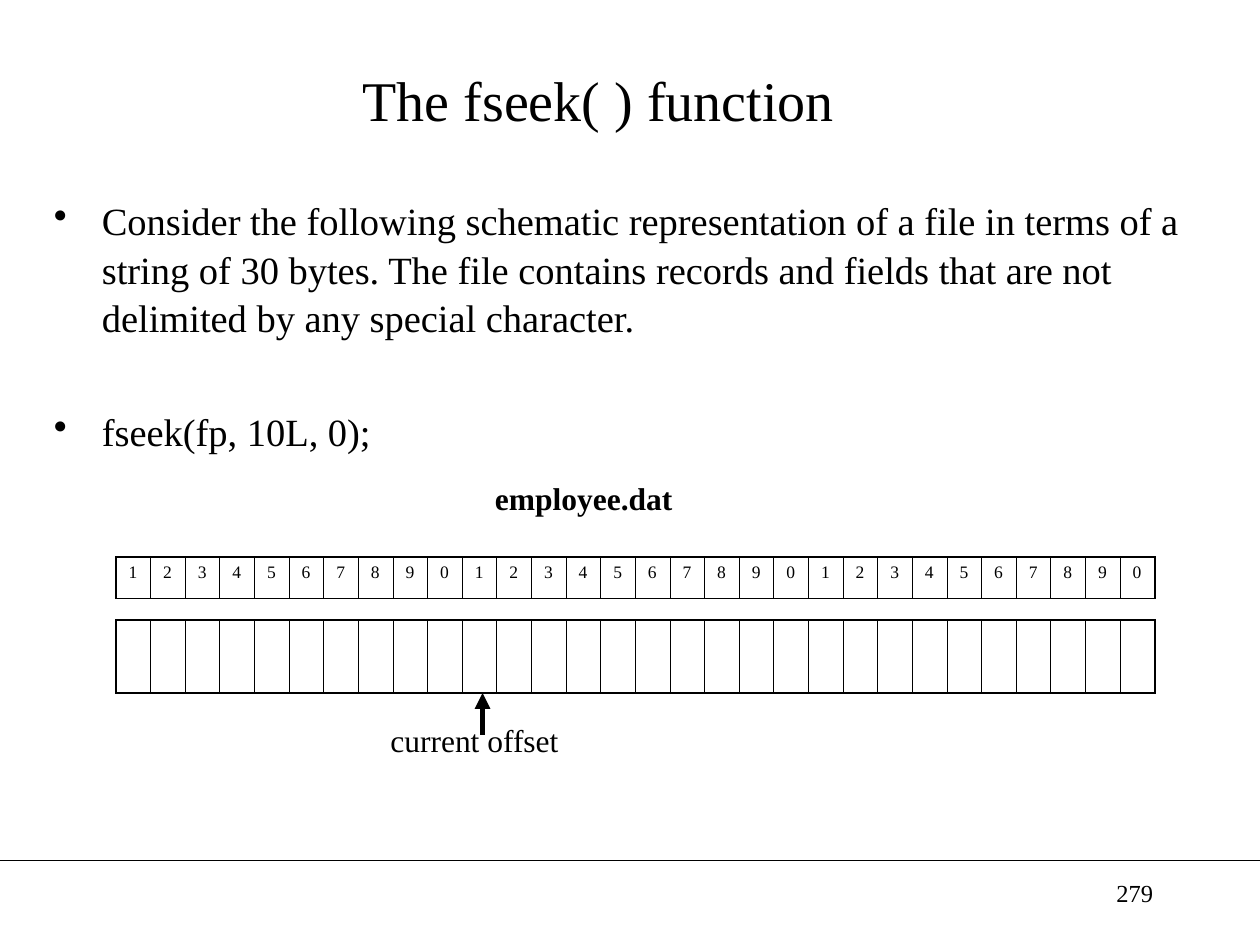
from dataclasses import dataclass

from lxml.etree import SubElement
from pptx import Presentation
from pptx.dml.color import RGBColor
from pptx.enum.shapes import MSO_CONNECTOR
from pptx.enum.text import MSO_ANCHOR, PP_ALIGN
from pptx.oxml.ns import qn
from pptx.util import Inches, Pt


@dataclass(frozen=True)
class Theme:
    font: str = "Times New Roman"
    ink: RGBColor = RGBColor(0, 0, 0)
    title: float = 32
    body: float = 22
    label: float = 18
    page_number: float = 14
    digit: float = 10
    rule: float = 0.75
    arrow: float = 3
    cell_inner: float = 0.45
    cell_outer: float = 1.08


THEME = Theme()
BYTE_COUNT = 30
BODY_POINTS = [
    "Consider the following schematic representation of a file in terms of a "
    "string of 30 bytes. The file contains records and fields that are not "
    "delimited by any special character.",
    "fseek(fp, 10L, 0);",
]


def format_paragraph(paragraph, size, bold=False, alignment=PP_ALIGN.LEFT):
    paragraph.alignment = alignment
    font = paragraph.font
    font.name, font.size, font.bold = THEME.font, Pt(size), bold
    font.color.rgb = THEME.ink


def add_bullet(paragraph, indent):
    properties = paragraph._p.get_or_add_pPr()
    properties.set("marL", str(indent))
    properties.set("indent", str(-indent))
    SubElement(properties, qn("a:buChar"), char="•")


def add_title(slide, box, text):
    title = slide.shapes.title
    title.left, title.top, title.width, title.height = map(Inches, box)
    title.text_frame.text = text
    title.text_frame.vertical_anchor = MSO_ANCHOR.MIDDLE
    format_paragraph(title.text_frame.paragraphs[0], THEME.title,
                     alignment=PP_ALIGN.CENTER)


def add_text(slide, box, text, size, **formatting):
    frame = slide.shapes.add_textbox(*map(Inches, box)).text_frame
    frame.word_wrap = True
    frame.text = text
    format_paragraph(frame.paragraphs[0], size, **formatting)


def add_body(slide, box, points):
    frame = slide.shapes.add_textbox(*map(Inches, box)).text_frame
    frame.word_wrap = True
    frame.text = "\n".join(points)
    for index, paragraph in enumerate(frame.paragraphs):
        paragraph.line_spacing = 1.05
        if index:
            paragraph.space_before = Pt(37.5)
        add_bullet(paragraph, Inches(0.38))
        format_paragraph(paragraph, THEME.body)


def add_line(slide, start, end, width, arrowhead=False):
    line = slide.shapes.add_connector(
        MSO_CONNECTOR.STRAIGHT, *map(Inches, start + end))
    line.line.color.rgb = THEME.ink
    line.line.width = Pt(width)
    if arrowhead:
        SubElement(line.line._get_or_add_ln(), qn("a:tailEnd"), type="triangle")
    SubElement(line._element.spPr, qn("a:effectLst"))


def set_borders(cell, left, right):
    """Draw all four borders; top and bottom are always outer edges."""
    properties = cell._tc.get_or_add_tcPr()
    outer = THEME.cell_outer
    for side, width in zip("LRTB", (left, right, outer, outer)):
        border = SubElement(properties, qn(f"a:ln{side}"), w=str(Pt(width)))
        fill = SubElement(border, qn("a:solidFill"))
        SubElement(fill, qn("a:srgbClr"), val=str(THEME.ink))


def add_byte_strip(slide, box, digits=""):
    """One row of equal cells, one for each byte, with optional digits."""
    table = slide.shapes.add_table(1, BYTE_COUNT, *map(Inches, box)).table
    table.first_row = table.horz_banding = False
    last = BYTE_COUNT - 1
    for index, cell in enumerate(table.iter_cells()):
        table.columns[index].width = Inches(box[2] / BYTE_COUNT)
        set_borders(cell,
                    THEME.cell_inner if index else THEME.cell_outer,
                    THEME.cell_inner if index < last else THEME.cell_outer)
        cell.fill.background()
        if digits:
            cell.text = digits[index]
            format_paragraph(cell.text_frame.paragraphs[0], THEME.digit)


def add_file_diagram(slide, box):
    left, top, width, height = box
    add_text(slide, (left + 2.91, top, 1.75, 0.4), "employee.dat",
             THEME.label, bold=True)
    digits = "".join(str(n % 10) for n in range(1, BYTE_COUNT + 1))
    add_byte_strip(slide, (left, top + 0.67, width, 0.33), digits)
    add_byte_strip(slide, (left, top + 1.17, width, 0.58))
    add_line(slide, (left + 2.91, top + 2.08), (left + 2.91, top + 1.75),
             THEME.arrow, arrowhead=True)
    add_text(slide, (left + 2.08, top + height - 0.4, 1.75, 0.4),
             "current offset", THEME.label)


def add_footer(slide, box, number):
    left, top, width, _ = box
    add_line(slide, (left, top), (left + width, top), THEME.rule)
    add_text(slide, (left + 7.17, top + 0.09, 2.08, 0.5), number,
             THEME.page_number, alignment=PP_ALIGN.RIGHT)


def main():
    presentation = Presentation()
    presentation.slide_width, presentation.slide_height = Inches(10), Inches(7.5)
    slide = presentation.slides.add_slide(presentation.slide_layouts[5])
    add_title(slide, (0.5, 0.25, 8.5, 1.08), "The fseek( ) function")
    add_body(slide, (0.33, 1.5, 9.25, 2.17), BODY_POINTS)
    add_file_diagram(slide, (0.92, 3.75, 8.25, 2.32))
    add_footer(slide, (0, 6.83, 10, 0.67), "279")
    presentation.save("out.pptx")


if __name__ == "__main__":
    main()
